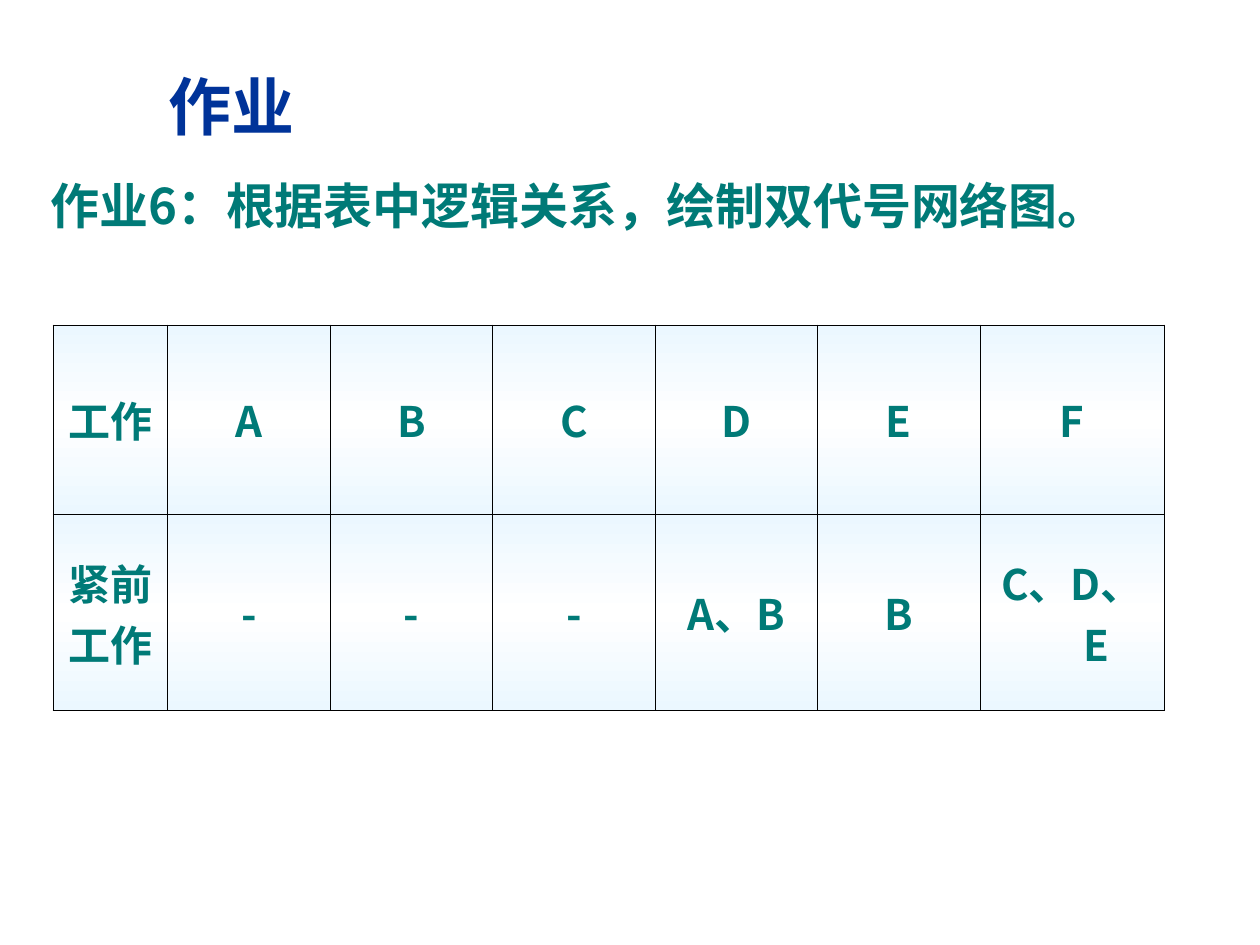
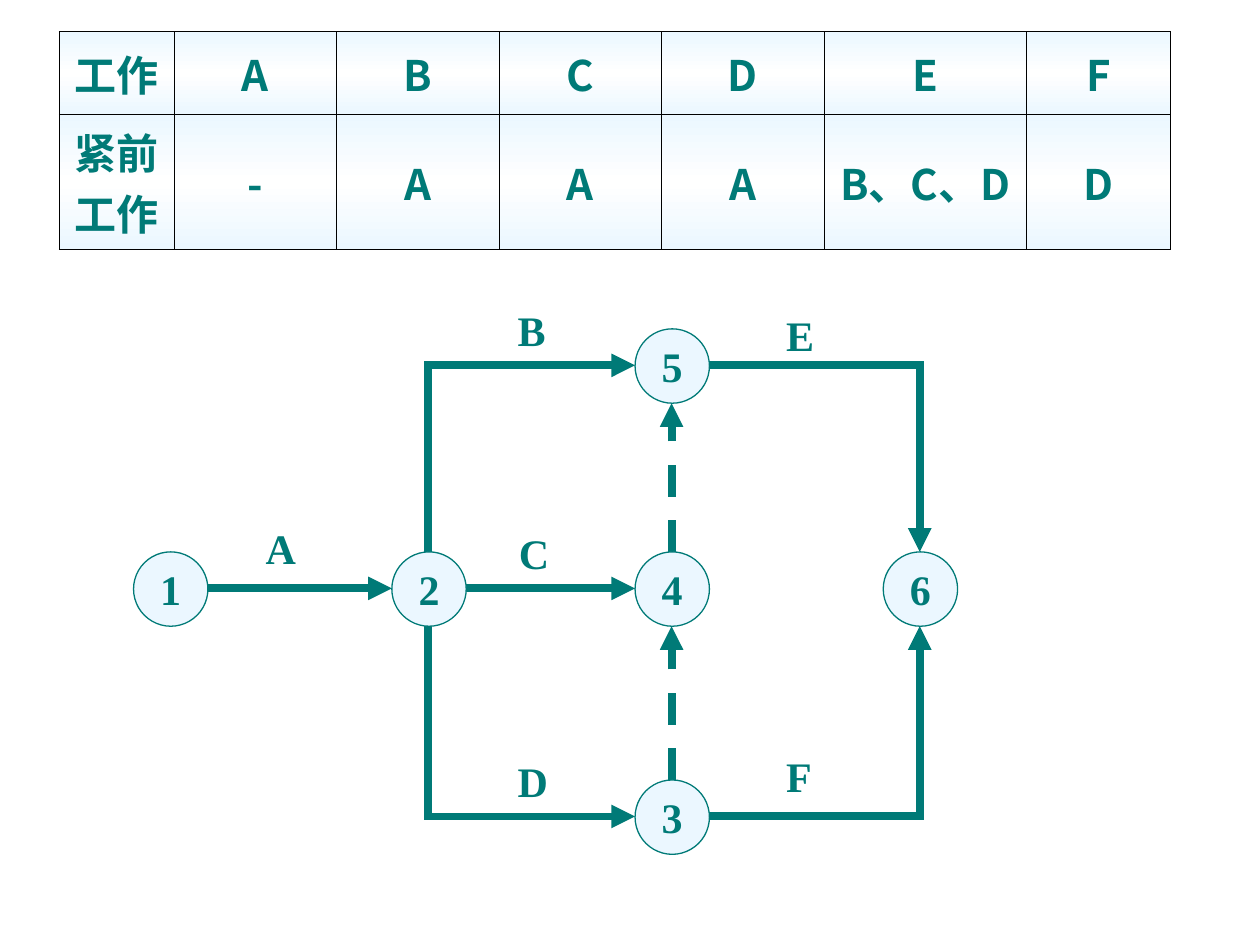
from lxml import etree
from pptx import Presentation
from pptx.dml.color import RGBColor
from pptx.enum.dml import MSO_LINE
from pptx.enum.shapes import MSO_CONNECTOR as CONN, MSO_SHAPE as SHAPE
from pptx.enum.text import MSO_ANCHOR as ANCHOR, MSO_AUTO_SIZE as AUTOSIZE, PP_ALIGN as ALIGN
from pptx.oxml import parse_xml
from pptx.oxml.ns import nsdecls, qn
from pptx.util import Pt

PX = 9144
COLORS = {"title": "003399", "teal": "007A77", "pale": "EBF7FF", "white": "FFFFFF", "border": "000000"}
CJK, SERIF = "Noto Sans CJK SC", "Times New Roman"
HANG = 38


def write(p, text, size, font, color="teal", hang=0):
    if hang:
        pPr = p._p.get_or_add_pPr()
        pPr.set("marL", str(hang * PX))
        pPr.set("indent", str(-hang * PX))
    r = p.add_run()
    r.text = text
    r.font.size = Pt(size)
    r.font.bold = True
    r.font.name = font
    r.font.color.rgb = RGBColor.from_string(COLORS[color])
    etree.SubElement(r._r.get_or_add_rPr(), qn("a:ea")).set("typeface", CJK)


def add_task_table(slide, x, y, widths, heights, rows):
    frame = slide.shapes.add_table(len(rows), len(widths), x * PX, y * PX,
                                   sum(widths) * PX, sum(heights) * PX)
    table = frame.table
    for col, width in zip(table.columns, widths):
        col.width = width * PX
    for row, height, texts in zip(table.rows, heights, rows):
        row.height = height * PX
        for cell, text in zip(row.cells, texts):
            cell.vertical_anchor = ANCHOR.MIDDLE
            cell.margin_left = cell.margin_right = 10 * PX
            cell.margin_top = cell.margin_bottom = 5 * PX
            tf = cell.text_frame
            for i, line in enumerate(text.split("\n")):
                p = tf.add_paragraph() if i else tf.paragraphs[0]
                p.alignment = ALIGN.CENTER
                write(p, line, 24, CJK, hang=HANG)
            tcPr = cell._tc.get_or_add_tcPr()
            for side in "LRTB":
                tcPr.append(parse_xml(
                    f'<a:ln{side} {nsdecls("a")} w="5715"><a:solidFill>'
                    f'<a:srgbClr val="{COLORS["border"]}"/></a:solidFill></a:ln{side}>'))
            stops = "".join(
                f'<a:gs pos="{pos * 1000}"><a:srgbClr val="{COLORS[name]}"/></a:gs>'
                for pos, name in ((0, "pale"), (50, "white"), (100, "pale")))
            tcPr.append(parse_xml(
                f'<a:gradFill {nsdecls("a")}><a:gsLst>{stops}</a:gsLst>'
                '<a:lin ang="5400000" scaled="0"/></a:gradFill>'))


prs = Presentation()
prs.slide_width, prs.slide_height = 1000 * PX, 750 * PX
TASKS = ["工作", *"ABCDEF"]
BEFORE = "紧前\n工作"

s = prs.slides.add_slide(prs.slide_layouts[5])
title = s.shapes.title
title.left, title.top, title.width, title.height = 25 * PX, 42 * PX, 317 * PX, 83 * PX
tf = title.text_frame
tf.auto_size = AUTOSIZE.NONE
tf.vertical_anchor = ANCHOR.MIDDLE
p = tf.paragraphs[0]
p.alignment = ALIGN.CENTER
write(p, "作业", 36, "Arial", "title")

question = s.shapes.add_textbox(20 * PX, 134 * PX, 898 * PX, 64 * PX)
tf = question.text_frame
tf.word_wrap = True
tf.margin_left = tf.margin_right = 20 * PX
write(tf.paragraphs[0], "作业6：根据表中逻辑关系，绘制双代号网络图。", 28, CJK, hang=HANG)

add_task_table(s, 42, 258, [91] + [129] * 5 + [146], [150, 156],
               [TASKS, [BEFORE, "-", "-", "-", "A、B", "B", "C、D、E"]])

s = prs.slides.add_slide(prs.slide_layouts[6])
add_task_table(s, 47, 25, [91] + [129] * 4 + [161, 114], [66, 107],
               [TASKS, [BEFORE, "-", "A", "A", "A", "B、C、D", "D"]])

SIZE = 59
HALF = SIZE // 2
PORTS = {"top": (HALF, 0), "left": (0, HALF), "bottom": (HALF, SIZE), "right": (SIZE, HALF)}
nodes = {1: (106, 438), 2: (311, 438), 3: (504, 619), 4: (504, 438), 5: (504, 261), 6: (701, 438)}
arrows = [
    (1, "right", 2, "left"),
    (2, "right", 4, "left"),
    (4, "top", 5, "bottom"),
    (3, "top", 4, "bottom"),
    (2, "top", 5, "left"),
    (2, "bottom", 3, "left"),
    (5, "right", 6, "top"),
    (3, "right", 6, "bottom"),
]
labels = {"A": (201, 410), "B": (401, 237), "C": (402, 414),
          "D": (401, 595), "E": (614, 241), "F": (614, 591)}

for start, side, end, end_side in arrows:
    x1, y1 = (a + b for a, b in zip(nodes[start], PORTS[side]))
    x2, y2 = (a + b for a, b in zip(nodes[end], PORTS[end_side]))
    bent = x1 != x2 and y1 != y2
    vertical = side in ("top", "bottom")
    c = s.shapes.add_connector(CONN.ELBOW if bent else CONN.STRAIGHT,
                               x1 * PX, y1 * PX, x2 * PX, y2 * PX)
    c.line.color.rgb = RGBColor.from_string(COLORS["teal"])
    c.line.width = Pt(4.5)
    spPr = c._element.spPr
    if bent:
        spPr.find(qn("a:prstGeom")).set("prst", "bentConnector2")
    if bent and vertical:
        w, h = c.width, c.height
        c.left, c.top = c.left + (w - h) // 2, c.top + (h - w) // 2
        c.width, c.height = h, w
        xfrm = spPr.find(qn("a:xfrm"))
        xfrm.set("rot", "5400000" if side == "top" else "16200000")
        xfrm.set("flipH", "1")
    if vertical and not bent:
        c.line.dash_style = MSO_LINE.DASH
    ln = spPr.find(qn("a:ln"))
    etree.SubElement(ln, qn("a:miter")).set("lim", "800000")
    etree.SubElement(ln, qn("a:tailEnd")).set("type", "triangle")
    etree.SubElement(spPr, qn("a:effectLst"))

for number, (x, y) in nodes.items():
    sp = s.shapes.add_shape(SHAPE.OVAL, x * PX, y * PX, SIZE * PX, SIZE * PX)
    sp.shadow.inherit = False
    sp.fill.solid()
    sp.fill.fore_color.rgb = RGBColor.from_string(COLORS["pale"])
    sp.line.color.rgb = RGBColor.from_string(COLORS["teal"])
    sp.line.width = Pt(0.75)
    tf = sp.text_frame
    tf.word_wrap = False
    tf.vertical_anchor = ANCHOR.MIDDLE
    p = tf.paragraphs[0]
    p.alignment = ALIGN.CENTER
    write(p, str(number), 24, SERIF)

for task, (x, y) in labels.items():
    label = s.shapes.add_textbox(x * PX, y * PX, SIZE * PX, 50 * PX)
    tf = label.text_frame
    tf.word_wrap = True
    write(tf.paragraphs[0], task, 24, SERIF)

prs.save("out.pptx")
